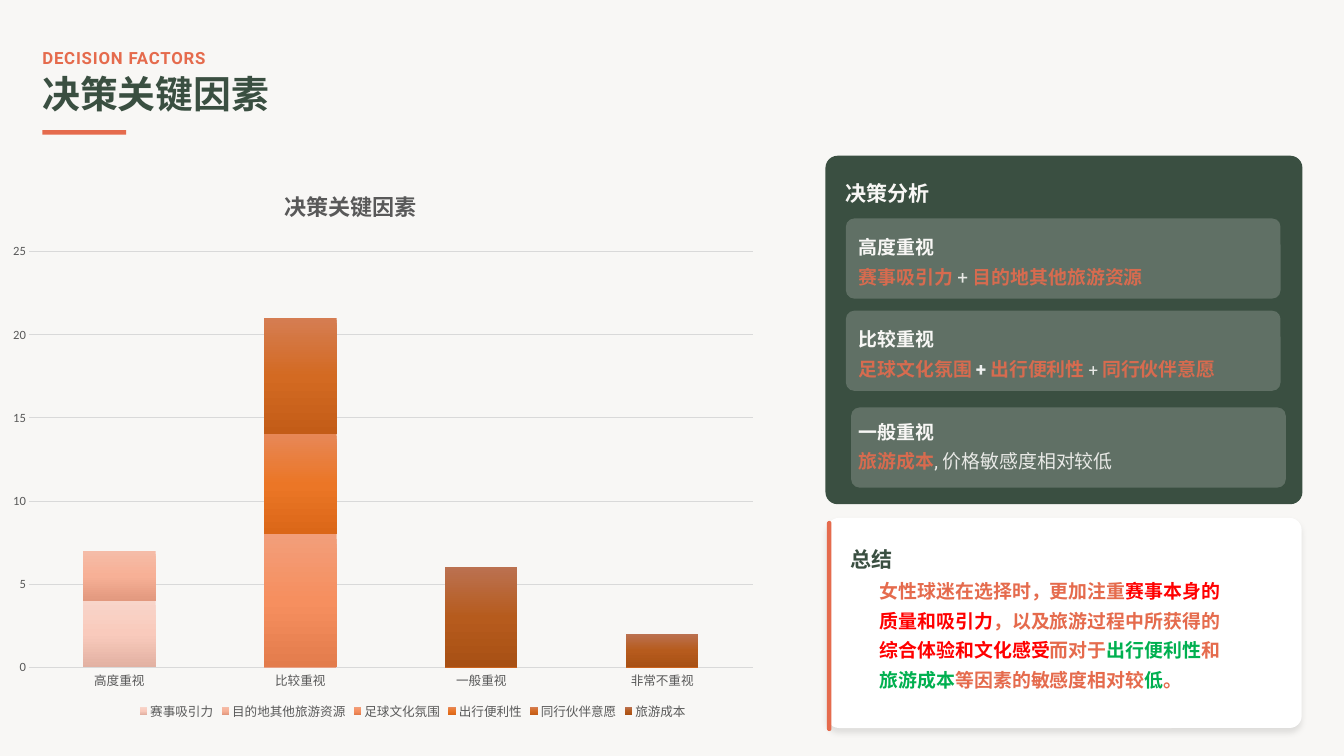
from copy import deepcopy

from lxml import etree
from pptx import Presentation
from pptx.chart.data import CategoryChartData
from pptx.dml.color import RGBColor
from pptx.enum.chart import XL_CHART_TYPE, XL_LEGEND_POSITION, XL_TICK_MARK
from pptx.enum.shapes import MSO_SHAPE
from pptx.enum.text import MSO_ANCHOR, MSO_AUTO_SIZE, PP_ALIGN
from pptx.oxml import parse_xml
from pptx.oxml.ns import nsdecls, qn
from pptx.util import Inches, Pt

RECTANGLE = MSO_SHAPE.RECTANGLE
ROUNDED = MSO_SHAPE.ROUNDED_RECTANGLE
STACKED = XL_CHART_TYPE.COLUMN_STACKED
BOTTOM = XL_LEGEND_POSITION.BOTTOM
NO_TICK = XL_TICK_MARK.NONE
MIDDLE = MSO_ANCHOR.MIDDLE
LEFT = PP_ALIGN.LEFT
NO_AUTOFIT = MSO_AUTO_SIZE.NONE

COLORS = {
    "page": "F8F7F5", "coral": "E56B4D", "green": "3A4F41", "white": "FFFFFF",
    "red": "FF0000", "bright": "00B050", "axis": "595959", "grid": "D9D9D9",
}
HEADING_FONT, BODY_FONT, CHART_FONT = "Noto Sans CJK SC", "Roboto", "Calibri"

CATEGORIES = ["高度重视", "比较重视", "一般重视", "非常不重视"]
SERIES = [
    ("赛事吸引力", (4, 0, 0, 0), ("F8D5CA", "F9CABC", "E2B1A2")),
    ("目的地其他旅游资源", (3, 0, 0, 0), ("F5BCA8", "F7B096", "E2997F")),
    ("足球文化氛围", (0, 8, 0, 0), ("F29E7A", "F68F5F", "E37C4C")),
    ("出行便利性", (0, 6, 0, 0), ("E78756", "EB7626", "DB6718")),
    ("同行伙伴意愿", (0, 7, 0, 0), ("D57D52", "D36A22", "C35C17")),
    ("旅游成本", (0, None, 6, 2), ("BB7150", "B65B1D", "A85014")),
]
# Each run: text, colour, size, bold
FACTORS = [
    (11.19, 2.89, 3.06, "高度重视", [
        ("赛事吸引力", "coral", 18, True), (" + ", "page", 18, False),
        ("目的地其他旅游资源", "coral", 18, True)]),
    (11.19, 4.11, 4.28, "比较重视", [
        ("足球文化氛围", "coral", 18, True), (" ", "page", 16, False),
        ("+", "white", 18, True), (" ", "page", 16, False),
        ("出行便利性", "coral", 18, True), (" + ", "page", 16, False),
        ("同行伙伴意愿", "coral", 18, True)]),
    (11.26, 5.39, 5.5, "一般重视", [
        ("旅游成本", "coral", 18, True),
        (", 价格敏感度相对较低", "page", 18, False)]),
]
SUMMARY = [(text, color, 18, True) for text, color in (
    ("女性球迷在选择时，更加注重", "coral"), ("赛事本身的质量和吸引力", "red"),
    ("，以及旅游过程中所获得的", "coral"), ("综合体验和文化感受", "red"),
    ("而对于", "coral"), ("出行便利性", "bright"), ("和", "coral"),
    ("旅游成本", "bright"), ("等因素的敏感度相对较", "coral"),
    ("低", "bright"), ("。", "coral"))]


def rgb(color):
    return RGBColor.from_string(COLORS.get(color, color))


def apply_format(target, values):
    for name, value in values.items():
        setattr(target, name, value)


def set_alpha(element, percent):
    """Make every RGB colour inside the element partly transparent."""
    for color in element.iter(qn("a:srgbClr")):
        etree.SubElement(color, qn("a:alpha"), val=str(percent * 1000))


def write_text(shape, runs, font=BODY_FONT, spacing=1.3, alpha=None, tracking=None):
    frame = shape.text_frame
    apply_format(frame, {
        "word_wrap": True, "auto_size": NO_AUTOFIT, "vertical_anchor": MIDDLE,
        "margin_left": 0, "margin_right": 0, "margin_top": 0, "margin_bottom": 0})
    paragraph = frame.paragraphs[0]
    apply_format(paragraph, {"alignment": LEFT, "line_spacing": spacing})
    for text, color, size, bold in runs:
        run = paragraph.add_run()
        run.text = text
        apply_format(run.font, {"name": font, "size": Pt(size), "bold": bold})
        run.font.color.rgb = rgb(color)
        properties = run.font._element
        properties.find(qn("a:latin")).addnext(
            properties.makeelement(qn("a:ea"), {"typeface": HEADING_FONT}))
        if alpha:
            set_alpha(properties, alpha)
        if tracking:
            properties.set("spc", str(int(tracking * 100)))


def add_text(slide, box, runs, **options):
    shape = slide.shapes.add_textbox(*map(Inches, box))
    write_text(shape, runs, **options)


def add_block(slide, box, color, radius=0, alpha=None):
    shape = slide.shapes.add_shape(ROUNDED if radius else RECTANGLE, *map(Inches, box))
    shape.shadow.inherit = False
    shape.fill.solid()
    shape.fill.fore_color.rgb = rgb(color)
    shape.line.fill.background()
    if radius:
        shape.adjustments[0] = radius / min(box[2:])
    if alpha:
        set_alpha(shape._element.spPr, alpha)
    return shape


def add_soft_shadow(shape):
    shape._element.spPr.find(qn("a:effectLst")).append(parse_xml(
        f'<a:outerShdw {nsdecls("a")} blurRad="{Pt(6)}" dist="{Pt(4)}" dir="5400000" '
        'algn="t" rotWithShape="0"><a:srgbClr val="000000"><a:alpha val="10000"/>'
        '</a:srgbClr></a:outerShdw>'))


def place_chart_part(element, index, **places):
    """Give a chart title or plot area a manual layout in chart fractions."""
    for old in element.findall(qn("c:layout")):
        element.remove(old)
    target = '<c:layoutTarget val="inner"/>' if "w" in places else ""
    modes = "".join(f'<c:{name}Mode val="edge"/>' for name in "xy")
    values = "".join(f'<c:{name} val="{value}"/>' for name, value in places.items())
    element.insert(index, parse_xml(
        f'<c:layout {nsdecls("c")}><c:manualLayout>{target}{modes}{values}'
        '</c:manualLayout></c:layout>'))


def fill_gradient(series, colors):
    fill = series.format.fill
    fill.gradient()
    fill.gradient_angle = 270
    stops = series._element.find(".//" + qn("a:gsLst"))
    stops.insert(1, deepcopy(stops[0]))
    for stop, color, position in zip(fill.gradient_stops, colors, (0, 0.5, 1)):
        stop.color.rgb = rgb(color)
        stop.position = position


def format_chart_font(font, size, color="axis", bold=False):
    apply_format(font, {"name": CHART_FONT, "size": Pt(size), "bold": bold})
    font.color.rgb = rgb(color)


def add_factor_chart(slide):
    data = CategoryChartData()
    data.categories = CATEGORIES
    for name, values, _ in SERIES:
        data.add_series(name, values)
    box = map(Inches, (0, 2.13, 10.92, 7.44))
    chart = slide.shapes.add_chart(STACKED, *box, data).chart
    format_chart_font(chart.font, 10, "000000")

    chart.chart_title.text_frame.text = "决策关键因素"
    title_run = chart.chart_title.text_frame.paragraphs[0].runs[0]
    format_chart_font(title_run.font, 21, bold=True)
    place_chart_part(chart.chart_title._element, 1, x=0.34, y=0.04)
    place_chart_part(chart._chartSpace.chart.plotArea, 0, x=0.035, y=0.161, w=0.877, h=0.739)

    plot = chart.plots[0]
    apply_format(plot, {"gap_width": 150, "overlap": 100, "vary_by_categories": False})
    for series, (_, _, colors) in zip(plot.series, SERIES):
        fill_gradient(series, colors)

    for axis in (chart.category_axis, chart.value_axis):
        apply_format(axis, {"major_tick_mark": NO_TICK, "minor_tick_mark": NO_TICK})
        format_chart_font(axis.tick_labels.font, 12)
    values_axis = chart.value_axis
    apply_format(values_axis, {"minimum_scale": 0, "maximum_scale": 25, "major_unit": 5})
    values_axis.format.line.fill.background()
    for line, width in ((chart.category_axis.format.line, 1),
                        (values_axis.major_gridlines.format.line, 0.75)):
        line.color.rgb = rgb("grid")
        line.width = Pt(width)

    chart.has_legend = True
    apply_format(chart.legend, {"position": BOTTOM, "include_in_layout": False})
    format_chart_font(chart.legend.font, 12)


def add_header(slide):
    title = slide.shapes.title
    apply_format(title, {"left": Inches(0.56), "top": Inches(1),
                         "width": Inches(16.92), "height": Inches(0.56)})
    write_text(title, [("决策关键因素", "green", 36, True)], font=HEADING_FONT, spacing=0.9)
    add_text(slide, (0.56, 0.56, 16.78, 0.33),
             [("DECISION FACTORS", "coral", 16, True)], tracking=0.8)
    add_block(slide, (0.56, 1.72, 1.11, 0.06), "coral")


def add_analysis(slide):
    add_block(slide, (10.92, 2.06, 6.31, 4.61), "green", radius=0.16)
    add_text(slide, (11.19, 2.33, 5.89, 0.39), [("决策分析", "page", 20, True)],
             font=HEADING_FONT, spacing=1.2)
    for left, top, label_top, label, detail in FACTORS:
        add_block(slide, (left, top, 5.75, 1.06), "page", radius=0.11, alpha=20)
        add_text(slide, (11.36, label_top, 5.53, 0.33), [(label, "page", 18, True)])
        add_text(slide, (11.36, label_top + 0.39, 5.53, 0.33), detail, alpha=90)


def add_summary(slide):
    add_soft_shadow(add_block(slide, (10.94, 6.85, 6.28, 2.78), "white", radius=0.16))
    add_block(slide, (10.94, 6.89, 0.06, 2.78), "coral", radius=0.03)
    add_text(slide, (11.25, 7.17, 5.83, 0.39), [("总结", "green", 20, True)],
             font=HEADING_FONT, spacing=1.2)
    add_text(slide, (11.64, 7.72, 4.5, 1.28), SUMMARY)


def main():
    presentation = Presentation()
    apply_format(presentation, {"slide_width": Inches(17.78), "slide_height": Inches(10)})
    slide = presentation.slides.add_slide(presentation.slide_layouts[5])
    slide.background.fill.solid()
    slide.background.fill.fore_color.rgb = rgb("page")
    add_header(slide)
    add_analysis(slide)
    add_summary(slide)
    add_factor_chart(slide)
    presentation.save("out.pptx")


if __name__ == "__main__":
    main()
